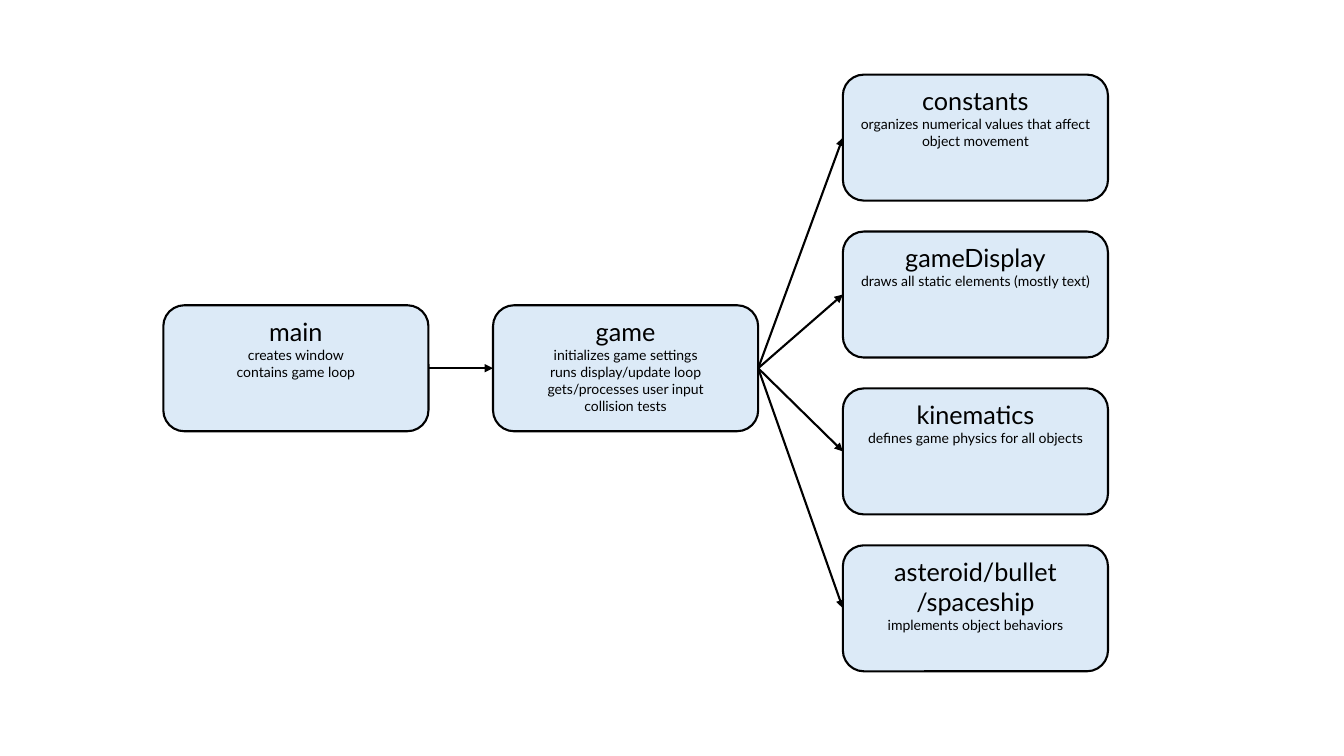
import dataclasses

import pptx
import pptx.dml.color
import pptx.enum.shapes
import pptx.enum.text
import pptx.oxml
import pptx.oxml.ns
import pptx.util

SLIDE_W, SLIDE_H = 13.33, 7.5
BOX_W, BOX_H = 2.63, 1.25
COLUMN_LEFTS = (1.62, 4.89, 8.36)
FIRST_ROW, LAST_ROW, ROW_COUNT = 0.74, 5.41, 4
ROW_PITCH = (LAST_ROW - FIRST_ROW) / (ROW_COUNT - 1)
MIDDLE_ROW = 1.47
RIGHT_SIDE, LEFT_SIDE = 3, 1
INK, BOX_FILL = "000000", "DCEAF7"
FONT = "Lato"
LINE_PT = 1.5


@dataclasses.dataclass(frozen=True)
class Module:
    column: int
    row: float
    title: tuple[str, ...]
    duties: tuple[str, ...]


MAIN = Module(0, MIDDLE_ROW, ("main",), ("creates window", "contains game loop"))
GAME = Module(1, MIDDLE_ROW, ("game",), (
    "initializes game settings", "runs display/update loop",
    "gets/processes user input", "collision tests"))
HELPERS = (
    Module(2, 0, ("constants",),
           ("organizes numerical values that affect object movement",)),
    Module(2, 1, ("gameDisplay",), ("draws all static elements (mostly text)",)),
    Module(2, 2, ("kinematics",), ("defines game physics for all objects",)),
    Module(2, 3, ("asteroid/bullet", "/spaceship"), ("implements object behaviors",)),
)


def color(hex_text: str) -> pptx.dml.color.RGBColor:
    return pptx.dml.color.RGBColor.from_string(hex_text)


def write(p, text: str, *, size: float, ink: str = INK, font: str = FONT) -> None:
    p.alignment = pptx.enum.text.PP_ALIGN.CENTER
    r = p.add_run()
    r.text = text
    r.font.size = pptx.util.Pt(size)
    r.font.name = font
    r.font.color.rgb = color(ink)


def set_line(line) -> None:
    line.color.rgb = color(INK)
    line.width = pptx.util.Pt(LINE_PT)


def add_module(s, module: Module):
    top = FIRST_ROW + module.row * ROW_PITCH
    bounds = (COLUMN_LEFTS[module.column], top, BOX_W, BOX_H)
    sp = s.shapes.add_shape(pptx.enum.shapes.MSO_SHAPE.ROUNDED_RECTANGLE,
                            *(pptx.util.Inches(v) for v in bounds))
    sp.shadow.inherit = False
    sp.fill.solid()
    sp.fill.fore_color.rgb = color(BOX_FILL)
    set_line(sp.line)
    tf = sp.text_frame
    tf.word_wrap = True
    tf.vertical_anchor = pptx.enum.text.MSO_ANCHOR.TOP
    lines = [(t, 18) for t in module.title] + [(t, 10) for t in module.duties]
    for i, (text, size) in enumerate(lines):
        write(tf.add_paragraph() if i else tf.paragraphs[0], text, size=size)
    return sp


def add_arrow(s, source, target) -> None:
    """Point from the right side of source to the left side of target."""
    arrow = s.shapes.add_connector(
        pptx.enum.shapes.MSO_CONNECTOR.STRAIGHT, 0, 0, 0, 0)
    arrow.begin_connect(source, RIGHT_SIDE)
    arrow.end_connect(target, LEFT_SIDE)
    set_line(arrow.line)
    namespace = pptx.oxml.ns.nsdecls("a")
    arrow.line._get_or_add_ln().append(
        pptx.oxml.parse_xml(f'<a:tailEnd {namespace} type="triangle"/>'))
    arrow._element.spPr.append(pptx.oxml.parse_xml(f"<a:effectLst {namespace}/>"))


def main() -> None:
    prs = pptx.Presentation()
    prs.slide_width = pptx.util.Inches(SLIDE_W)
    prs.slide_height = pptx.util.Inches(SLIDE_H)
    s = prs.slides.add_slide(prs.slide_layouts[6])
    main_box = add_module(s, MAIN)
    game_box = add_module(s, GAME)
    helper_boxes = [add_module(s, helper) for helper in HELPERS]
    add_arrow(s, main_box, game_box)
    for helper_box in helper_boxes:
        add_arrow(s, game_box, helper_box)
    prs.save("out.pptx")


if __name__ == "__main__":
    main()
